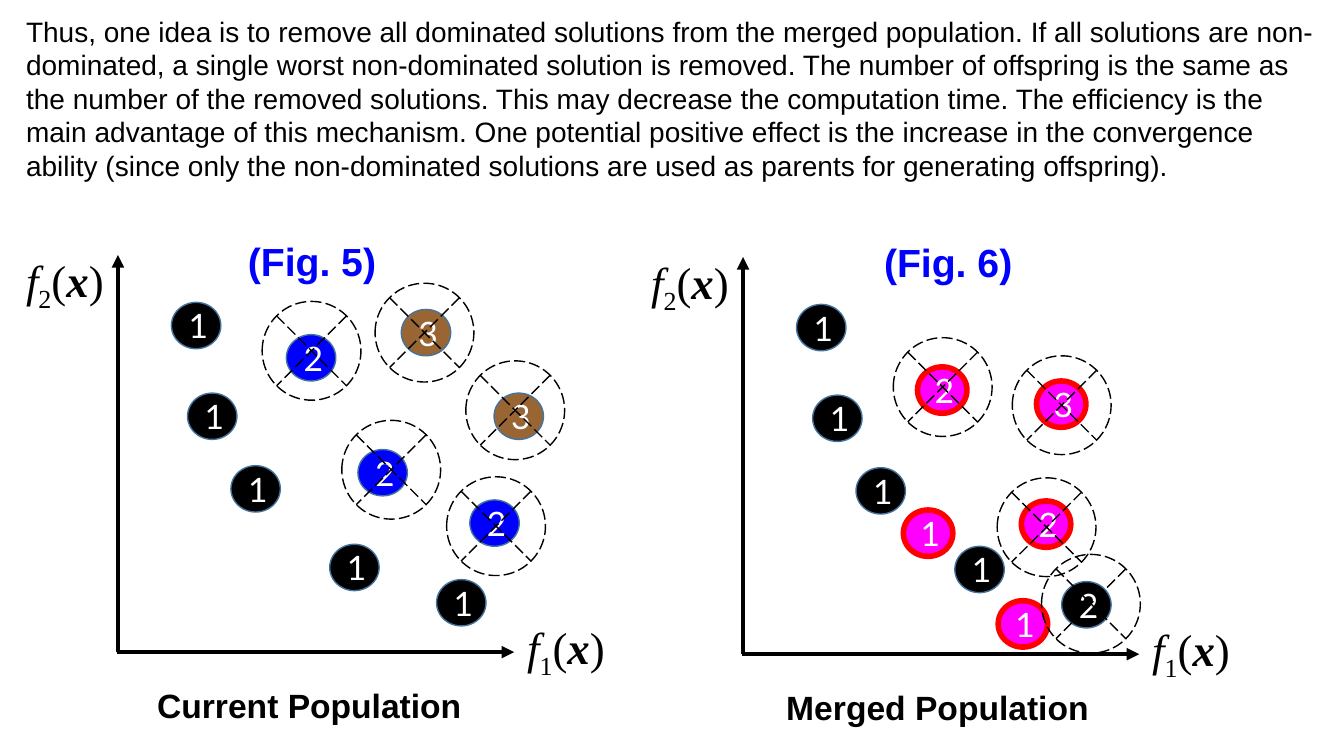
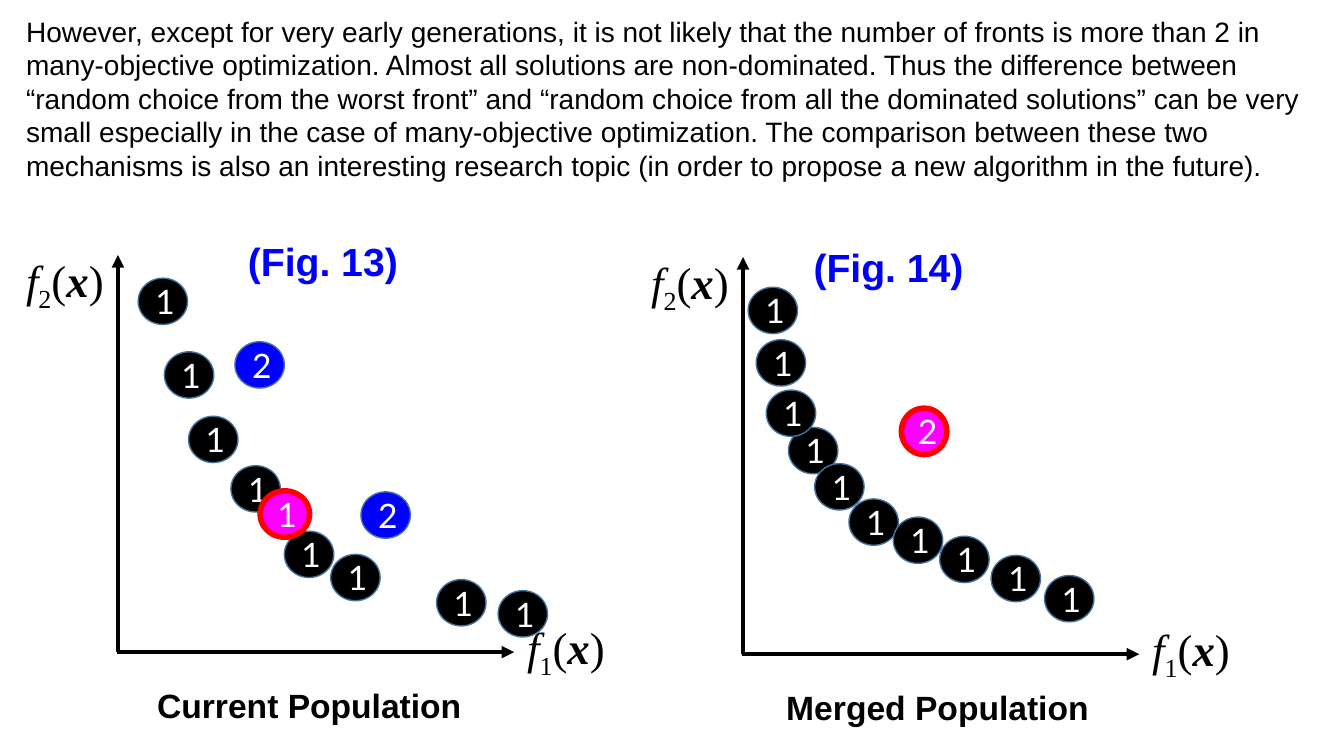
from dataclasses import dataclass

from lxml import etree
from pptx import Presentation, util as u
from pptx.dml.color import RGBColor
from pptx.enum import dml, shapes, text
from pptx.oxml.ns import qn

# Square grid: 75 rows on the slide, columns as wide as rows
presentation = Presentation()
presentation.slide_width, presentation.slide_height = u.Inches(13.33), u.Inches(7.5)
CELL = presentation.slide_height / 75

BLACK, WHITE, BLUE = "000000", "FFFFFF", "0000FF"
BROWN, PINK, RED, STEEL = "996633", "FF00FF", "FF0000", "43739E"
BODY_FONT, MATH_FONT, LABEL_FONT = "Arial", "Times New Roman", "Lato"
SOLUTION_WIDTH, SOLUTION_HEIGHT, CROSS_SIZE = 4.9, 4.6, 9.8


@dataclass(frozen=True)
class Style:
    fill: str
    outline: str = STEEL
    weight: float = 1


FRONT_1, FRONT_2, FRONT_3 = Style(BLACK), Style(BLUE), Style(BROWN)
OFFSPRING = Style(PINK, RED, 4)


@dataclass(frozen=True)
class Solution:
    column: float
    row: float
    rank: int = 1
    style: Style = FRONT_1
    width: float = SOLUTION_WIDTH


@dataclass(frozen=True)
class Panel:
    """One half of the slide; all its positions count from its own corner."""
    column: float
    row: float
    caption: str
    caption_column: float
    caption_width: float


@dataclass(frozen=True)
class Figure:
    panel: Panel
    label: str
    label_at: tuple[float, float]
    label_width: float
    solutions: list[Solution]
    removed: list[tuple[float, float]]


@dataclass(frozen=True)
class Page:
    body: str
    figures: list[Figure]


@dataclass(frozen=True)
class Run:
    words: str
    bold: bool = False
    italic: bool = False
    subscript: bool = False


def cells(count: float) -> int:
    return round(count * CELL)


def colour(code: str) -> RGBColor:
    return RGBColor.from_string(code)


def write(frame, runs: list[Run], *, font: str, size: float, color: str,
          align=text.PP_ALIGN.LEFT) -> None:
    paragraph = frame.paragraphs[0]
    paragraph.alignment = align
    for part in runs:
        run = paragraph.add_run()
        run.text = part.words
        run.font.name, run.font.size = font, u.Pt(size)
        run.font.bold, run.font.italic = part.bold, part.italic
        run.font.color.rgb = colour(color)
        if part.subscript:
            run._r.get_or_add_rPr().set("baseline", "-25000")


def add_text(slide, column: float, row: float, width: float, height: float,
             runs: list[Run], *, wrap: bool = False, **style) -> None:
    box = slide.shapes.add_textbox(*map(cells, (column, row, width, height)))
    box.text_frame.word_wrap = wrap
    box.text_frame.auto_size = text.MSO_AUTO_SIZE.SHAPE_TO_FIT_TEXT
    write(box.text_frame, runs, **style)


def add_axis(slide, start: tuple[float, float], end: tuple[float, float]) -> None:
    axis = slide.shapes.add_connector(shapes.MSO_CONNECTOR.STRAIGHT,
                                      *map(cells, (*start, *end)))
    axis.line.color.rgb, axis.line.width = colour(BLACK), u.Pt(3)
    etree.SubElement(axis.line._get_or_add_ln(), qn("a:tailEnd"), type="triangle")
    etree.SubElement(axis._element.spPr, qn("a:effectLst"))


def add_objective(slide, column: float, row: float, index: str) -> None:
    runs = [Run("f", italic=True), Run(index, subscript=True), Run("("),
            Run("x", bold=True, italic=True), Run(")")]
    add_text(slide, column, row, 10, 6.4, runs, font=MATH_FONT, size=32, color=BLACK)


def add_solution(slide, panel: Panel, solution: Solution) -> None:
    shape = slide.shapes.add_shape(
        shapes.MSO_SHAPE.OVAL, cells(panel.column + solution.column),
        cells(panel.row + solution.row), cells(solution.width), cells(SOLUTION_HEIGHT))
    shape.shadow.inherit = False
    shape.fill.solid()
    shape.fill.fore_color.rgb = colour(solution.style.fill)
    shape.line.color.rgb = colour(solution.style.outline)
    shape.line.width = u.Pt(solution.style.weight)
    shape.text_frame.word_wrap = True
    shape.text_frame.vertical_anchor = text.MSO_ANCHOR.MIDDLE
    write(shape.text_frame, [Run(str(solution.rank))], font=LABEL_FONT, size=24,
          color=WHITE, align=text.PP_ALIGN.CENTER)


def add_cross(slide, panel: Panel, column: float, row: float) -> None:
    cross = slide.shapes.add_shape(
        shapes.MSO_SHAPE.FLOWCHART_SUMMING_JUNCTION, cells(panel.column + column),
        cells(panel.row + row), cells(CROSS_SIZE), cells(CROSS_SIZE))
    cross.shadow.inherit = False
    cross.fill.background()
    cross.line.color.rgb, cross.line.width = colour(BLACK), u.Pt(1)
    cross.line.dash_style = dml.MSO_LINE.LONG_DASH


def add_figure(slide, figure: Figure) -> None:
    panel = figure.panel
    x, y = panel.column, panel.row
    # Axes and their names
    add_axis(slide, (x + 11.7, y + 64.7), (x + 11.7, y + 25.3))
    add_axis(slide, (x + 11.6, y + 64.7), (x + 51, y + 64.7))
    add_objective(slide, x + 1.6, y + 24.6, "2")
    add_objective(slide, x + 51.3, y + 61, "1")
    # Caption and figure number
    add_text(slide, x + panel.caption_column, y + 67.5, panel.caption_width, 5,
             [Run(panel.caption, bold=True)], font=BODY_FONT, size=24, color=BLACK)
    column, row = figure.label_at
    add_text(slide, x + column, y + row, figure.label_width, 5.7,
             [Run(figure.label, bold=True)], font=BODY_FONT, size=28, color=BLUE)
    # Solutions, then the marks of the removed ones
    for solution in figure.solutions:
        add_solution(slide, panel, solution)
    for place in figure.removed:
        add_cross(slide, panel, *place)


# Content
CURRENT = Panel(0, 0, "Current Population", 14.6, 32.5)
MERGED = Panel(62, 0.2, "Merged Population", 15, 32.3)

survivors = [Solution(17, 30), Solution(18.6, 39), Solution(22.9, 46.2),
             Solution(32.7, 54)]

pages = [
    Page(
        "Thus, one idea is to remove all dominated solutions from the merged "
        "population. If all solutions are non-dominated, a single worst "
        "non-dominated solution is removed. The number of offspring is the same as "
        "the number of the removed solutions. This may decrease the computation "
        "time. The efficiency is the main advantage of this mechanism. One potential "
        "positive effect is the increase in the convergence ability (since only the "
        "non-dominated solutions are used as parents for generating offspring).",
        [Figure(CURRENT, "(Fig. 5)", (23.6, 23.1), 14.9,
                survivors + [
                    Solution(43.3, 57.5),
                    Solution(28.4, 33.2, 2, FRONT_2), Solution(35.5, 44.6, 2, FRONT_2),
                    Solution(46.6, 49.6, 2, FRONT_2),
                    Solution(39.8, 30.7, 3, FRONT_3), Solution(49, 39, 3, FRONT_3)],
                [(37.2, 28.1), (46.2, 35.8), (26, 29.9), (33.9, 41.7), (44.3, 47.3)]),
         Figure(MERGED, "(Fig. 6)", (24.7, 23), 14.9,
                survivors + [
                    Solution(43.3, 57.5, 2),
                    Solution(27.6, 50.4, 1, OFFSPRING), Solution(37, 59.4, 1, OFFSPRING),
                    Solution(39.3, 49.5, 2, OFFSPRING), Solution(29, 36.2, 2, OFFSPRING),
                    Solution(40.8, 37.6, 3, OFFSPRING)],
                [(26.6, 33.3), (38.4, 35.1), (36.9, 47.2), (41.3, 54.8)])]),
    Page(
        "However, except for very early generations, it is not likely that the number "
        "of fronts is more than 2 in many-objective optimization. Almost all solutions "
        "are non-dominated. Thus the difference between “random choice from the worst "
        "front” and “random choice from all the dominated solutions” can be very small "
        "especially in the case of many-objective optimization. The comparison between "
        "these two mechanisms is also an interesting research topic (in order to "
        "propose a new algorithm in the future).",
        [Figure(CURRENT, "(Fig. 13)", (23.6, 23.1), 17.1,
                [Solution(13.7, 27.6), Solution(16.3, 34.9), Solution(18.7, 41.3),
                 Solution(22.9, 46.2), Solution(28.2, 52.7), Solution(32.8, 55),
                 Solution(43.3, 57.5), Solution(49.4, 58.6),
                 Solution(23.3, 33.9, 2, FRONT_2), Solution(35.8, 48.8, 2, FRONT_2),
                 Solution(25.8, 48.7, 1, OFFSPRING)], []),
         Figure(MERGED, "(Fig. 14)", (17.7, 23.4), 17.1,
                [Solution(12.2, 28.3), Solution(13, 33.5), Solution(16.2, 42.2),
                 Solution(14, 38.5), Solution(22.2, 49.3), Solution(18.8, 45.8),
                 Solution(26.6, 51.1), Solution(31.2, 53), Solution(36.3, 54.9),
                 Solution(41.6, 56.9),
                 Solution(27.4, 40.3, 2, OFFSPRING, width=4.5)], [])]),
]

# Slides
blank_layout = presentation.slide_layouts[6]
for page in pages:
    slide = presentation.slides.add_slide(blank_layout)
    for figure in page.figures:
        add_figure(slide, figure)
    add_text(slide, 1.6, 0.9, 129.8, 17.8, [Run(page.body)], wrap=True,
             font=BODY_FONT, size=20, color=BLACK)

presentation.save("out.pptx")
